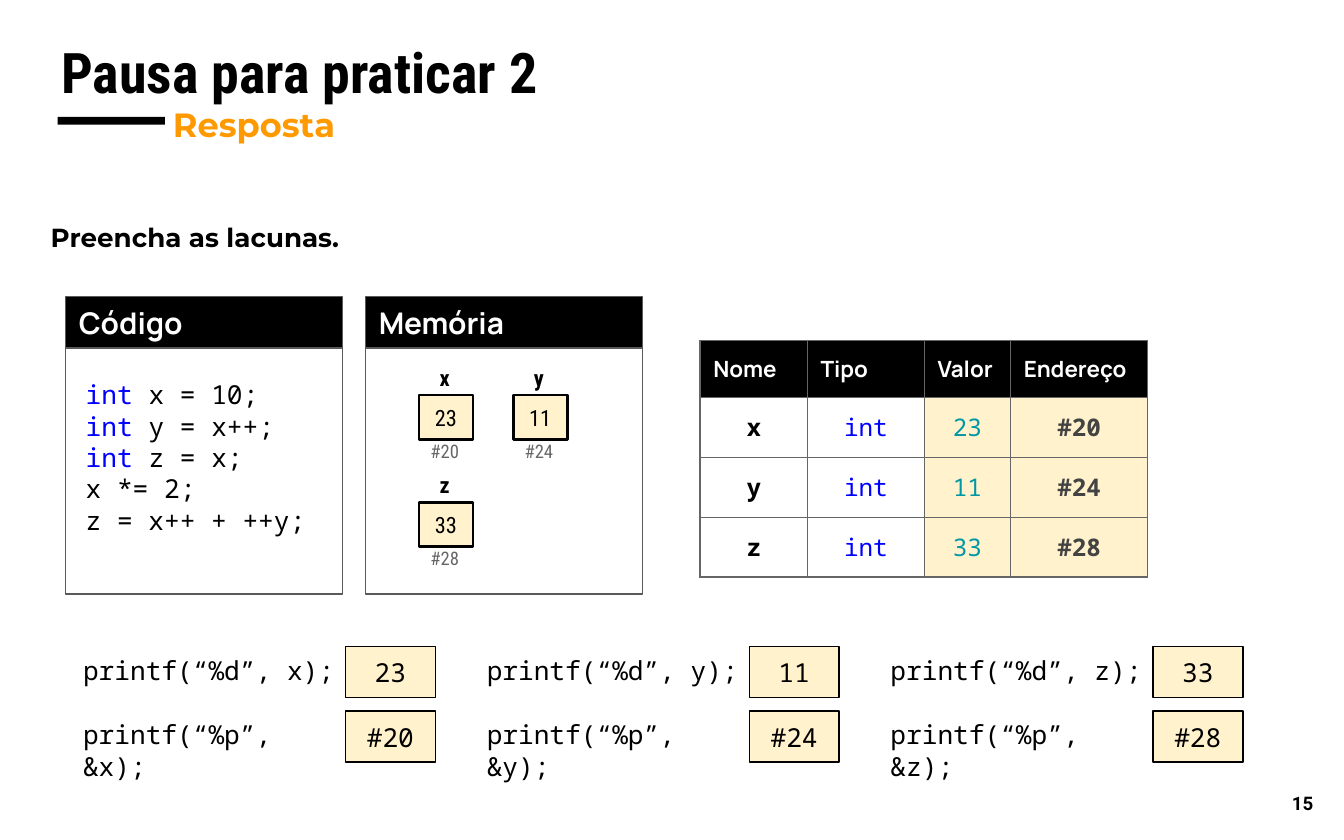
import pptx
import pptx.util
import pptx.dml.color
import pptx.enum.shapes
import pptx.enum.text
import pptx.oxml
import pptx.oxml.ns

Cm, Pt = pptx.util.Cm, pptx.util.Pt
MONO, COND, HEAD, SANS = "Noto Sans Mono", "Roboto Condensed", "Manrope", "Montserrat"
BLACK, WHITE, CREAM, BLUE = "000000", "FFFFFF", "FFF2CC", "0000FF"
GREY, TEAL, DARK, EDGE = "666666", "0097A7", "434343", "595959"

VARS = [("x", "23", "#20"), ("y", "11", "#24"), ("z", "33", "#28")]
CODE = [
    [("int ", BLUE), ("x = 10;", BLACK)],
    [("int ", BLUE), ("y = x++;", BLACK)],
    [("int ", BLUE), ("z = x;", BLACK)],
    "x *= 2;",
    "z = x++ + ++y;",
]
PANELS = [("Código", 1.24), ("Memória", 6.91)]
COLS = [("Nome", 2.03), ("Tipo", 2.21), ("Valor", 1.63), ("Endereço", 2.59)]
ROWS = [1.09, 1.13, 1.13, 1.13]

deck = pptx.Presentation()
deck.slide_width, deck.slide_height = Cm(25.4), Cm(15.88)
slide = deck.slides.add_slide(deck.slide_layouts[6])


def rgb(code):
    """Turn a hex string into a colour."""
    return pptx.dml.color.RGBColor.from_string(code)


def write(frame, text, font=MONO, size=14, color=BLACK, bold=False, align="LEFT",
          space=None, after=None):
    """Write a string, or a list of lines made of strings or coloured runs."""
    for num, line in enumerate(text if isinstance(text, list) else [text]):
        para = frame.add_paragraph() if num else frame.paragraphs[0]
        para.alignment = getattr(pptx.enum.text.PP_ALIGN, align)
        if space:
            para.line_spacing = space
        if after:
            para.space_after = Pt(after)
        for words, tint in [(line, color)] if isinstance(line, str) else line:
            run = para.add_run()
            run.text = words
            run.font.name, run.font.size, run.font.bold = font, Pt(size), bold
            run.font.color.rgb = rgb(tint)


def fit(frame, pads, mid):
    """Set wrapping, insets and vertical anchor of a text frame."""
    anchor = pptx.enum.text.MSO_ANCHOR
    frame.word_wrap = True
    frame.vertical_anchor = anchor.MIDDLE if mid else anchor.TOP
    (frame.margin_left, frame.margin_top,
     frame.margin_right, frame.margin_bottom) = [Cm(pad) for pad in pads]


def label(text, *spot, pads=(0.25,) * 4, mid=False, **style):
    """Add a text box at left, top, width, height."""
    frame = slide.shapes.add_textbox(*[Cm(num) for num in spot]).text_frame
    fit(frame, pads, mid)
    write(frame, text, **style)


def box(*spot, fill=WHITE, line=None, width=0.75, text=None, pads=(0.25,) * 4, **style):
    """Add a rectangle, with text if any is given."""
    kind = pptx.enum.shapes.MSO_SHAPE.RECTANGLE
    shape = slide.shapes.add_shape(kind, *[Cm(num) for num in spot])
    shape.shadow.inherit = False
    shape.fill.solid()
    shape.fill.fore_color.rgb = rgb(fill)
    if line:
        shape.line.color.rgb = rgb(line)
        shape.line.width = Pt(width)
    else:
        shape.line.fill.background()
    if text:
        fit(shape.text_frame, pads, True)
        write(shape.text_frame, text, **style)


def border(cell, color=GREY, width=0.75):
    """Draw the four borders of a cell, ahead of its fill."""
    props = cell._tc.get_or_add_tcPr()
    for num, side in enumerate(("lnL", "lnR", "lnT", "lnB")):
        props.insert(num, pptx.oxml.parse_xml(
            f'<a:{side} {pptx.oxml.ns.nsdecls("a")} w="{Pt(width)}"><a:solidFill>'
            f'<a:srgbClr val="{color}"/></a:solidFill></a:{side}>'))


def put(cell, text, fill, **style):
    """Fill, frame and write one table cell."""
    cell.fill.solid()
    cell.fill.fore_color.rgb = rgb(fill)
    cell.margin_left = cell.margin_right = Cm(0.25)
    cell.margin_top = cell.margin_bottom = Cm(0.25)
    border(cell)
    write(cell.text_frame, text, **style)


def grid(left, top):
    """Build the table of variables."""
    wide = sum(width for name, width in COLS)
    table = slide.shapes.add_table(len(ROWS), len(COLS), Cm(left), Cm(top),
                                   Cm(wide), Cm(sum(ROWS))).table
    for row, tall in zip(table.rows, ROWS):
        row.height = Cm(tall)
    for col, (name, width) in enumerate(COLS):
        table.columns[col].width = Cm(width)
        put(table.cell(0, col), name, BLACK, font=HEAD, size=12, color=WHITE, bold=True)
    for row, (name, value, place) in enumerate(VARS, 1):
        cells = [(name, WHITE, BLACK, True), ("int", WHITE, BLUE, False),
                 (value, CREAM, TEAL, False), (place, CREAM, DARK, True)]
        for col, (text, fill, color, bold) in enumerate(cells):
            put(table.cell(row, col), text, fill, size=13, color=color, bold=bold,
                align="CENTER")


def slot(left, top, name, value, place):
    """Draw one memory box with its name above and address below."""
    none = (0, 0, 0, 0)
    box(left, top, 1.02, 0.84, fill=CREAM, line=BLACK, width=1.5, text=value, pads=none,
        font=COND, size=12, align="CENTER")
    label(name, left - 0.05, top - 0.59, 1.07, 0.51, pads=none, font=COND, size=12,
          bold=True, align="CENTER")
    label(place, left, top + 0.84, 1.02, 0.51, pads=(0, 0, 0.05, 0), font=COND, size=10,
          color=GREY, align="CENTER")


box(1.09, 2.21, 2.03, 0.15, fill=BLACK)
label("Pausa para praticar 2", 0.91, 0.46, 23.67, 1.78, font=COND, size=30, bold=True)
label("Resposta", 3.02, 1.6, 9.17, 1.24, font=SANS, size=18, color="FF9900", bold=True,
      space=1.15, after=16)
label("Preencha as lacunas.", 0.71, 3.94, 16.76, 0.97, font=SANS, bold=True)
label("15", 23.55, 14.58, 1.52, 1.22, mid=True, font="Roboto", size=10, bold=True,
      align="RIGHT")

for title, left in PANELS:
    box(left, 6.48, 5.23, 4.75, line=EDGE)
    box(left, 5.61, 5.23, 0.97, fill=BLACK, line=EDGE, text=title, font=HEAD, size=16,
        color=WHITE, bold=True)
label(CODE, 1.37, 6.91, 5.11, 3.99)
grid(13.23, 6.43)

for num, (name, value, place) in enumerate(VARS):
    slot(7.92 + num % 2 * 1.78, 7.47 + num // 2 * 2.03, name, value, place)
    left = 1.32 + num * 7.63
    calls = [(f"printf(“%d”, {name});", value), (f"printf(“%p”, &{name});", place)]
    for row, (call, answer) in enumerate(calls):
        top = 12.12 + row * 1.22
        label(call, left, top, 5.11, 1.22, pads=(0.25, 0.25, 0, 0.25))
        box(left + 5.21, top + 0.1, 1.7, 0.97, fill=CREAM, line=BLACK, text=answer,
            pads=(0.25, 0, 0.25, 0), align="CENTER")

deck.save("out.pptx")
